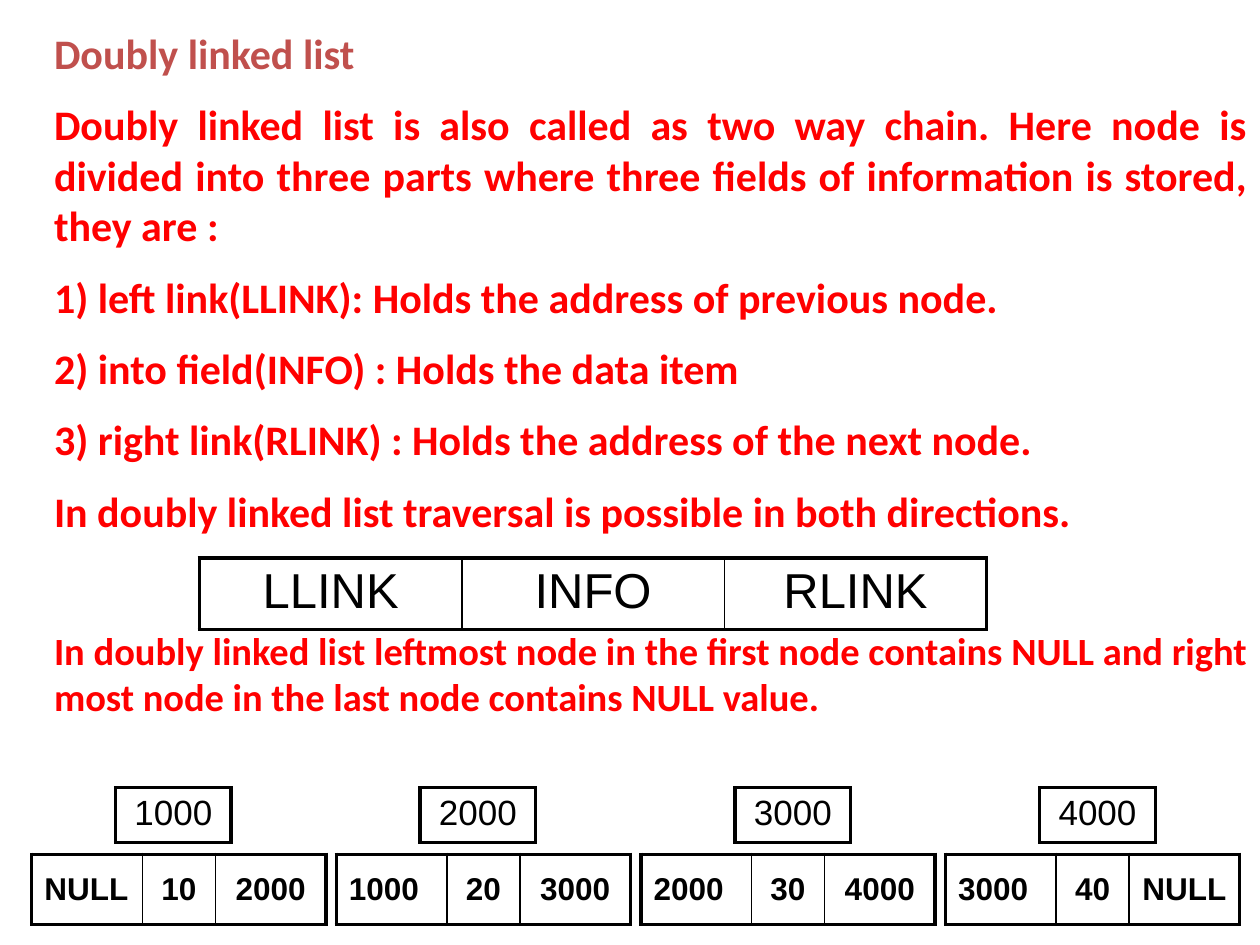
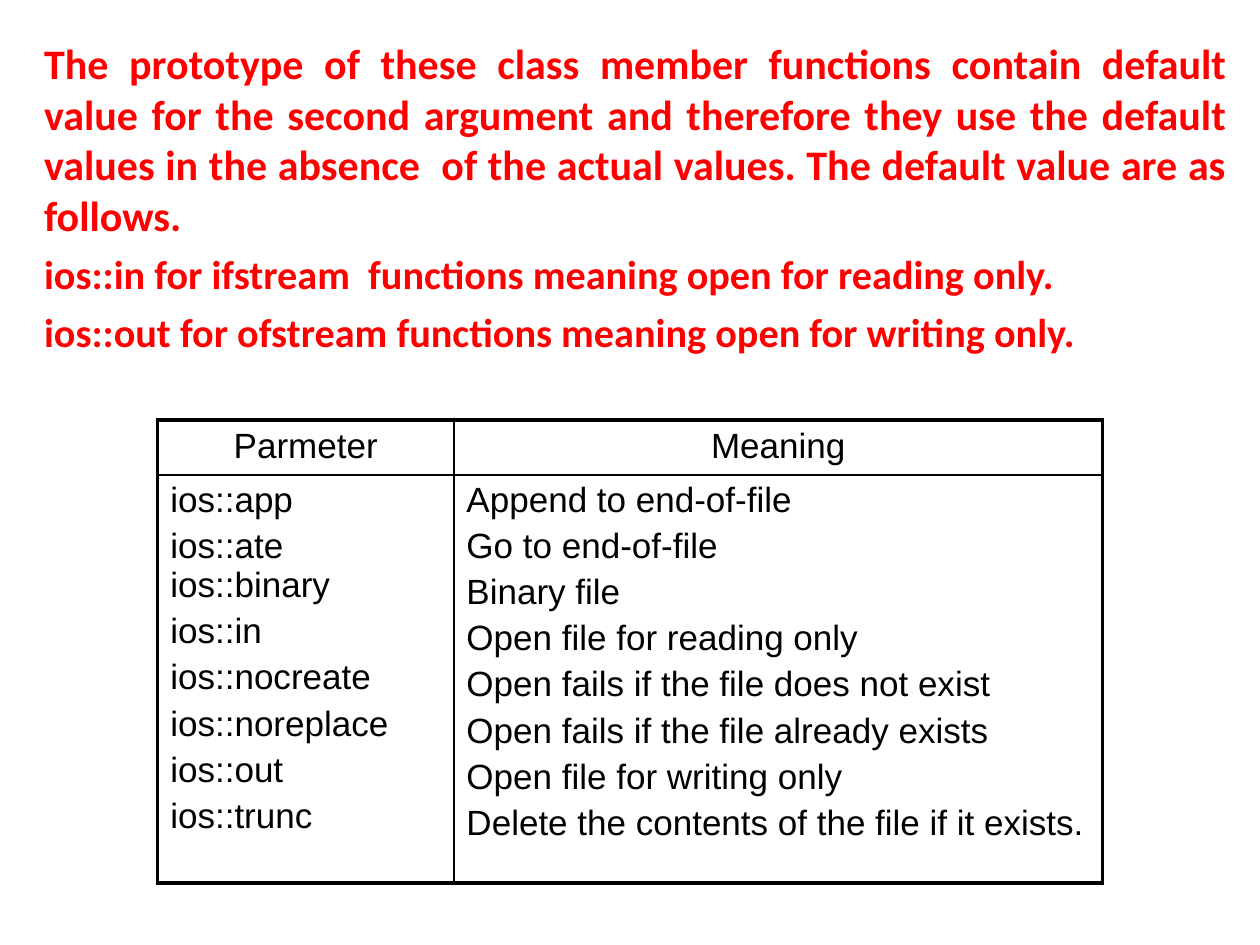
"""Builds two slides on doubly linked lists and file open modes."""
from lxml import etree
from pptx import Presentation
from pptx.dml.color import RGBColor
from pptx.enum.text import MSO_ANCHOR, PP_ALIGN
from pptx.oxml.ns import qn
from pptx.util import Cm, Pt

LEFT, CENTER, JUSTIFY = PP_ALIGN.LEFT, PP_ALIGN.CENTER, PP_ALIGN.JUSTIFY
TOP, MIDDLE = MSO_ANCHOR.TOP, MSO_ANCHOR.MIDDLE
RED, BRICK, BLACK = "FF0000", "C0504D", "000000"
THICK, THIN = Pt(2.25), Pt(1)


def write(tf, text, size=24, font="Calibri", color=RED, bold=True, align=JUSTIFY, before=0):
    """Add each line of text to the frame as a paragraph."""
    tf.word_wrap = True
    for line in text.split("\n"):
        p = tf.paragraphs[0]
        if tf.text:
            p = tf.add_paragraph()
            p.space_before = Pt(before)
        p.text = line
        p.alignment = align
        for r in p.runs:
            r.font.name, r.font.size, r.font.bold = font, Pt(size), bold
            r.font.color.rgb = RGBColor.from_string(color)


def add_grid(s, x, y, widths, heights, rows, size, aligns, anchor=TOP, bold=False):
    """Add a table with a thick frame and thin inner lines."""
    shape = s.shapes.add_table(len(heights), len(widths), Cm(x), Cm(y),
                               Cm(sum(widths)), Cm(sum(heights)))
    table = shape.table
    table.first_row = table.horz_banding = False
    for col, width in zip(table.columns, widths):
        col.width = Cm(width)
    for i, height in enumerate(heights):
        table.rows[i].height = Cm(height)
        for j, text in enumerate(rows[i]):
            cell = table.cell(i, j)
            cell.fill.background()
            cell.vertical_anchor = anchor
            write(cell.text_frame, text, size=size, font="Arial", color=BLACK,
                  bold=bold, align=aligns[i][j], before=size * 0.2)
            edges = {"a:lnL": j == 0, "a:lnR": j == len(widths) - 1,
                     "a:lnT": i == 0, "a:lnB": i == len(heights) - 1}
            tc_pr = cell._tc.get_or_add_tcPr()
            for k, (tag, outer) in enumerate(edges.items()):
                ln = etree.Element(qn(tag), w=str(THICK if outer else THIN))
                fill = etree.SubElement(ln, qn("a:solidFill"))
                etree.SubElement(fill, qn("a:srgbClr"), val=BLACK)
                tc_pr.insert(k, ln)


prs = Presentation()
prs.slide_width, prs.slide_height = Cm(25.4), Cm(19.05)
blank = prs.slide_layouts[6]

s = prs.slides.add_slide(blank)
tf = s.shapes.add_textbox(Cm(0.84), Cm(0.43), Cm(24.56), Cm(10.7)).text_frame
write(tf, "Doubly linked list", color=BRICK)
write(tf, """Doubly linked list is also called as two way chain. Here node is divided into three parts where three fields of information is stored, they are :
1) left link(LLINK): Holds the address of previous node.
2) into field(INFO) : Holds the data item
3) right link(RLINK) : Holds the address of the next node.
In doubly linked list traversal is possible in both directions.""", before=12)
tf = s.shapes.add_textbox(Cm(0.84), Cm(12.52), Cm(24.56), Cm(2.2)).text_frame
write(tf, "In doubly linked list leftmost node in the first node contains NULL and right "
          "most node in the last node contains NULL value.", size=22)

add_grid(s, 4.02, 11.25, [5.29] * 3, [1.43], [["LLINK", "INFO", "RLINK"]], 28, [[CENTER] * 3])

addresses = ["1000", "2000", "3000", "4000"]
links = ["NULL", *addresses, "NULL"]
for n, (address, x) in enumerate(zip(addresses, [2.33, 8.47, 14.82, 20.96])):
    node = [links[n], str(10 * (n + 1)), links[n + 2]]
    add_grid(s, 0.64 + 6.14 * n, 17.22, [2.23, 1.47, 2.23], [1.42], [node], 18,
             [[LEFT, CENTER, CENTER]], anchor=MIDDLE, bold=True)
    add_grid(s, x, 15.88, [2.33], [1.08], [[address]], 20, [[CENTER]])

s = prs.slides.add_slide(blank)
tf = s.shapes.add_textbox(Cm(0.64), Cm(0.64), Cm(24.34), Cm(7.98)).text_frame
write(tf, "The prototype of these class member functions contain default value for the second "
          "argument and therefore they use the default values in the absence  of the actual "
          "values. The default value are as follows.")
write(tf, """ios::in for ifstream  functions meaning open for reading only.
ios::out for ofstream functions meaning open for writing only.""", size=23, before=5.5)

modes = """ios::app
ios::ate\vios::binary
ios::in
ios::nocreate
ios::noreplace
ios::out
ios::trunc"""
meanings = """Append to end-of-file
Go to end-of-file
Binary file
Open file for reading only
Open fails if the file does not exist
Open fails if the file already exists
Open file for writing only
Delete the contents of the file if it exists."""
add_grid(s, 3.18, 8.47, [5.97, 13.08], [1.08, 8.23],
         [["Parmeter", "Meaning"], [modes, meanings]], 20, [[CENTER] * 2, [LEFT] * 2])

prs.save("out.pptx")
